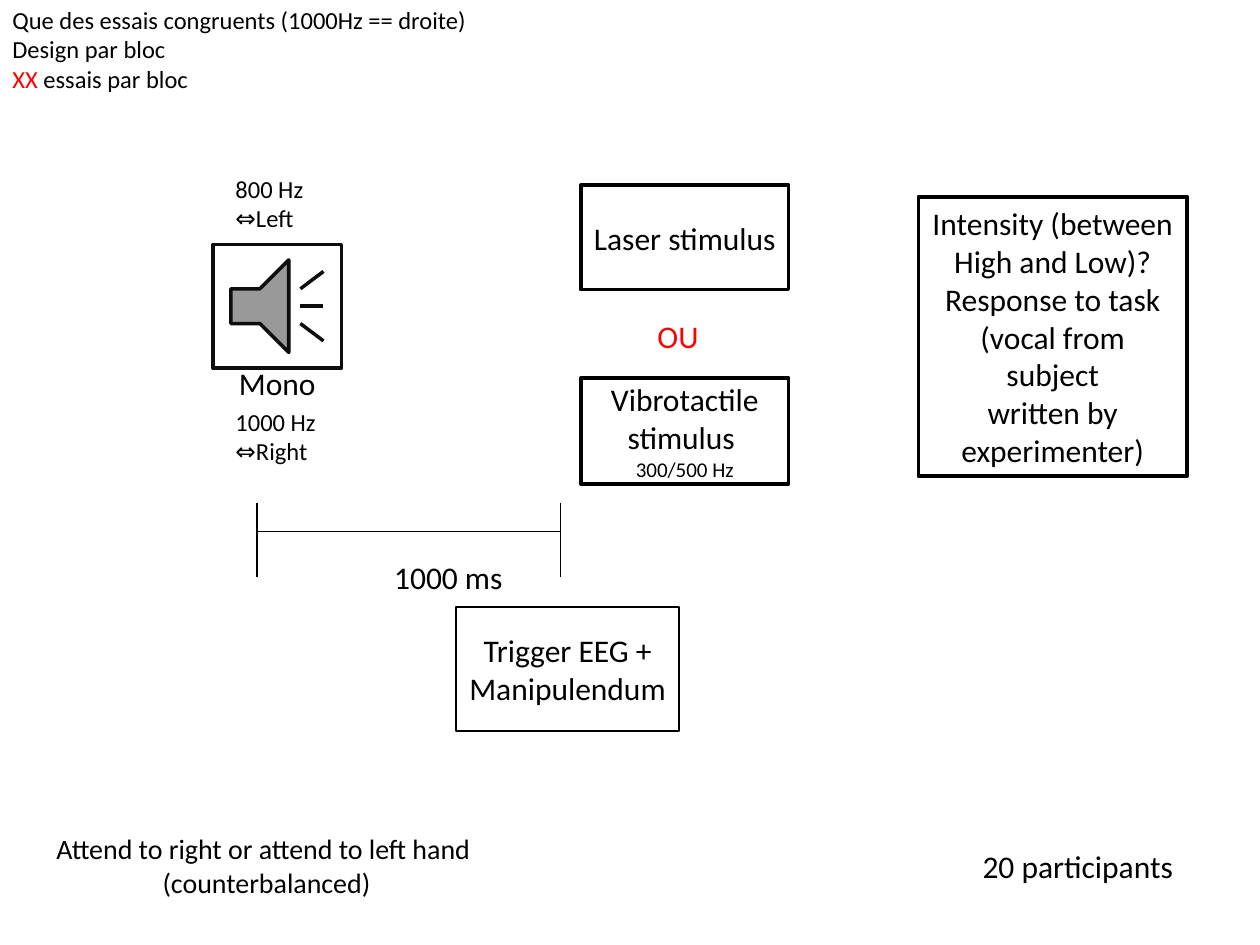
from lxml.etree import SubElement
from pptx import Presentation
from pptx.dml.color import RGBColor
from pptx.enum.shapes import MSO_CONNECTOR, MSO_SHAPE
from pptx.enum.text import MSO_ANCHOR, PP_ALIGN
from pptx.oxml.ns import qn
from pptx.util import Inches, Pt

BLACK = RGBColor(0, 0, 0)
DARK = RGBColor(0x0D, 0x0D, 0x0D)
WHITE = RGBColor(255, 255, 255)
RED = RGBColor(255, 0, 0)
FONT = "Calibri"
LEFT, CENTER = PP_ALIGN.LEFT, PP_ALIGN.CENTER

# Labels: position, size, alignment, wrap, paragraphs
# A paragraph is a string, or a list of (text, size, colour) spans
LABELS = [
    ((1.77, 1.33, 0.75, 0.57), 14, LEFT, False, ["800 Hz\v⇔Left"]),
    ((1.77, 3.18, 0.85, 0.57), 14, LEFT, False, ["1000 Hz\v⇔Right"]),
    ((1.69, 2.84, 1.02, 0.4), 18, CENTER, True, ["Mono"]),
    ((0.32, 6.55, 3.59, 0.64), 16, CENTER, False,
     ["Attend to right or attend to left hand ", "(counterbalanced)"]),
    ((3.03, 4.38, 1.07, 0.4), 18, LEFT, False, ["1000 ms"]),
    ((7.7, 6.67, 1.73, 0.4), 18, LEFT, False, ["20 participants"]),
    ((5.12, 2.47, 0.63, 0.4), 18, LEFT, True, [[("OU", 18, RED)]]),
    ((0, -0.01, 3.84, 0.81), 14, LEFT, False,
     ["Que des essais congruents (1000Hz == droite)\vDesign par bloc",
      [("XX", 14, RED), (" essais par bloc", 14, BLACK)]]),
]

# Boxes: position, line width, fill, paragraphs
BOXES = [
    ((4.61, 1.47, 1.65, 0.83), 2, WHITE, ["Laser stimulus"]),
    ((4.61, 3, 1.65, 0.84), 2, WHITE,
     [[("Vibrotactile stimulus ", 18, BLACK), ("\v", 18, BLACK),
       ("300/500 Hz", 12, BLACK)]]),
    ((7.29, 1.56, 2.13, 2.22), 2.25, None,
     ["Intensity (between High and Low)?",
      "Response to task (vocal from subject\vwritten by experimenter)"]),
    ((3.62, 4.82, 1.77, 0.98), 1, WHITE, ["Trigger EEG + Manipulendum"]),
]

# Time interval bracket
START_X, END_X = 2.04, 4.45
TICK_TOP, BAR_Y, TICK_BOTTOM = 3.99, 4.22, 4.58


def write(frame, paragraphs, size, align):
    for index, content in enumerate(paragraphs):
        para = frame.add_paragraph() if index else frame.paragraphs[0]
        para.alignment = align
        para.font.name, para.font.size = FONT, Pt(size)
        para.font.color.rgb = BLACK
        if isinstance(content, str):
            para.text = content
            continue
        for text, span_size, color in content:
            if text == "\v":
                para.add_line_break()
                continue
            span = para.add_run()
            span.text = text
            span.font.size = Pt(span_size)
            span.font.color.rgb = color


def add_box(page, kind, place, width, fill, line):
    box = page.shapes.add_shape(kind, *map(Inches, place))
    box.shadow.inherit = False
    if fill is None:
        box.fill.background()
    else:
        box.fill.solid()
        box.fill.fore_color.rgb = fill
    box.line.color.rgb = line
    box.line.width = Pt(width)
    return box


def add_line(page, *ends):
    line = page.shapes.add_connector(MSO_CONNECTOR.STRAIGHT, *map(Inches, ends))
    line.line.color.rgb = BLACK
    line.line.width = Pt(0.75)
    SubElement(line._element.spPr, qn("a:effectLst"))


def main():
    deck = Presentation()
    deck.slide_width, deck.slide_height = Inches(10), Inches(7.5)
    page = deck.slides.add_slide(deck.slide_layouts[6])

    # Sound cue
    add_box(page, MSO_SHAPE.ACTION_BUTTON_SOUND, (1.69, 1.94, 1.02, 0.98),
            2, WHITE, DARK)

    # Stimulus, response and trigger boxes
    for place, width, fill, paragraphs in BOXES:
        box = add_box(page, MSO_SHAPE.RECTANGLE, place, width, fill, BLACK)
        box.text_frame.word_wrap = True
        box.text_frame.vertical_anchor = MSO_ANCHOR.MIDDLE
        write(box.text_frame, paragraphs, 18, CENTER)

    # Labels
    for place, size, align, wrap, paragraphs in LABELS:
        label = page.shapes.add_textbox(*map(Inches, place))
        label.text_frame.word_wrap = wrap
        write(label.text_frame, paragraphs, size, align)

    # Interval between cue and stimulus
    add_line(page, START_X, BAR_Y, END_X, BAR_Y)
    for x in (START_X, END_X):
        add_line(page, x, TICK_TOP, x, TICK_BOTTOM)

    deck.save("out.pptx")


if __name__ == "__main__":
    main()
